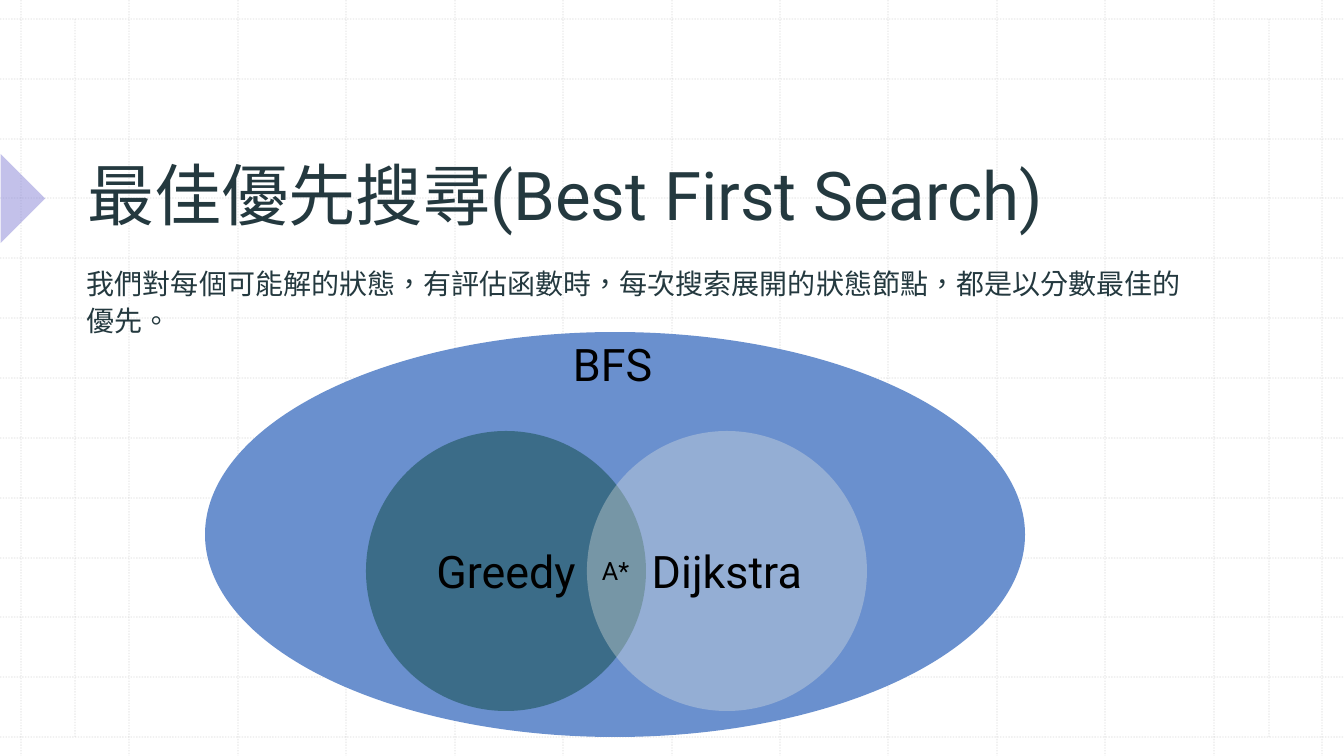
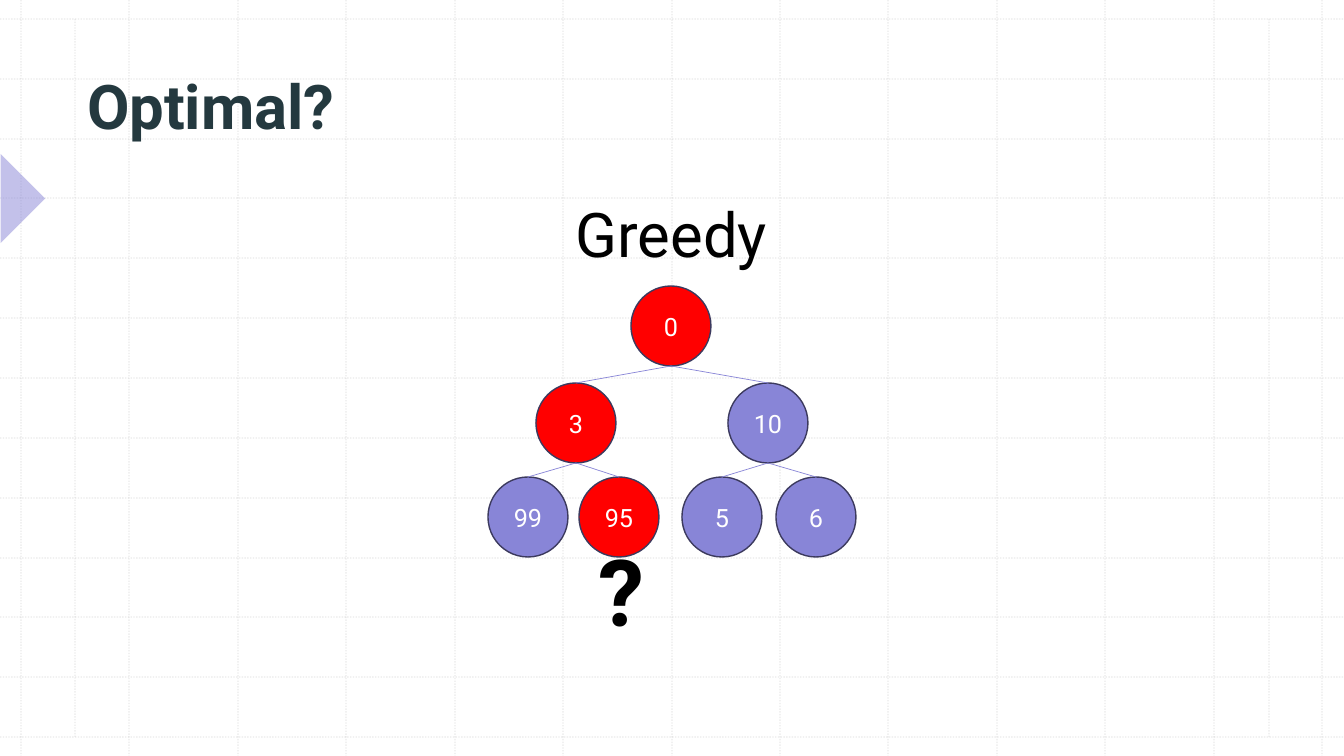
from lxml.etree import SubElement
from pptx import Presentation
from pptx.dml.color import RGBColor
from pptx.enum.dml import MSO_LINE
from pptx.enum.shapes import MSO_CONNECTOR, MSO_SHAPE
from pptx.enum.text import MSO_ANCHOR, MSO_AUTO_SIZE, PP_ALIGN
from pptx.oxml.ns import qn
from pptx.util import Emu, Pt

WIDTH, HEIGHT = 1344, 756
EMU_PER_PX = 914400 / 100.8
FONT = "Roboto"
BLACK = RGBColor(0x00, 0x00, 0x00)
WHITE = RGBColor(0xFF, 0xFF, 0xFF)
INK = RGBColor(0x24, 0x39, 0x3F)
GRID = RGBColor(0xBC, 0xBC, 0xBC)
VIOLET = RGBColor(0x88, 0x85, 0xD7)
OUTLINE = RGBColor(0x3C, 0x3A, 0x5E)
RED = RGBColor(0xFF, 0x00, 0x00)
BLUE = RGBColor(0x6A, 0x90, 0xCE)
TEAL = RGBColor(0x26, 0x5B, 0x68)
PALE = RGBColor(0xE8, 0xE8, 0xE2)


def px(*lengths):
    return [Emu(round(length * EMU_PER_PX)) for length in lengths]


def set_opacity(shape, percent):
    color = next(shape.element.spPr.iter(qn("a:srgbClr")))
    SubElement(color, qn("a:alpha"), val=str(percent * 1000))


class Deck:
    """Hold the shared style and the slide being drawn."""

    def __init__(self):
        self.presentation = Presentation()
        self.presentation.slide_width, self.presentation.slide_height = px(WIDTH, HEIGHT)
        self.layout = self.presentation.slide_layouts[5]
        self.slide = None

    def add_slide(self):
        first = self.slide is None
        self.slide = self.presentation.slides.add_slide(self.layout)
        if first:
            self.move_to_layout(self.draw_backdrop())

    def draw_backdrop(self):
        top, bottom = 19, 737
        columns = [round(21 + 1301 / 12 * step) for step in range(13)]
        rows = [round(top + (bottom - top) / 12 * step) for step in range(13)]
        ends = [(x, 0, x, HEIGHT) for x in columns]
        ends += [(0, y, WIDTH, y) for y in rows]
        ends += [(x, top, x, bottom) for x in (75, 1269)]
        shapes = []
        for points in ends:
            line = self.line(points, GRID, 1)
            line.line.dash_style = MSO_LINE.ROUND_DOT
            set_opacity(line, 30)
            shapes.append(line)
        marker = self.shape(MSO_SHAPE.RIGHT_TRIANGLE, (-31, 167, 63, 63), VIOLET, opacity=50)
        marker.rotation = 225
        return shapes + [marker]

    def move_to_layout(self, shapes):
        for number, shape in enumerate(shapes, 100):
            shape.element.xpath(".//p:cNvPr")[0].set("id", str(number))
            self.layout.shapes.element.append(shape.element)

    def add_run(self, shape, text, size, color, align=PP_ALIGN.LEFT, bold=False, language="en-US"):
        paragraph = shape.text_frame.paragraphs[0]
        paragraph.alignment = align
        run = paragraph.add_run()
        run.text = text
        font = run.font
        font.name, font.size, font.bold = FONT, Pt(size), bold
        font.color.rgb = color
        properties = run._r.get_or_add_rPr()
        properties.set("lang", language)
        SubElement(properties, qn("a:ea"), typeface=FONT)
        return paragraph

    def title(self, text, box, size, **style):
        title = self.slide.shapes.title
        title.left, title.top, title.width, title.height = px(*box)
        title.text_frame.auto_size = MSO_AUTO_SIZE.NONE
        title.text_frame.vertical_anchor = MSO_ANCHOR.BOTTOM
        self.add_run(title, text, size, INK, **style)

    def text(self, text, box, size, color=BLACK, wrap=False, **style):
        shape = self.slide.shapes.add_textbox(*px(*box))
        shape.text_frame.word_wrap = wrap
        return self.add_run(shape, text, size, color, **style)

    def shape(self, kind, box, fill, outline=None, opacity=None):
        shape = self.slide.shapes.add_shape(kind, *px(*box))
        shape.shadow.inherit = False
        shape.fill.solid()
        shape.fill.fore_color.rgb = fill
        if outline is None:
            shape.line.fill.background()
        else:
            shape.line.color.rgb = outline
            shape.line.width = Pt(1)
        if opacity is not None:
            set_opacity(shape, opacity)
        return shape

    def ellipse(self, box, fill, text=None, size=32, color=BLACK, **style):
        shape = self.shape(MSO_SHAPE.OVAL, box, fill, **style)
        if text is not None:
            shape.text_frame.vertical_anchor = MSO_ANCHOR.MIDDLE
            self.add_run(shape, text, size, color, PP_ALIGN.CENTER)

    def line(self, points, color, width):
        connector = self.slide.shapes.add_connector(MSO_CONNECTOR.STRAIGHT, *px(*points))
        connector.line.color.rgb = color
        connector.line.width = Pt(width)
        SubElement(connector.element.spPr, qn("a:effectLst"))
        return connector


def best_first_slide(deck):
    deck.add_slide()
    deck.title("最佳優先搜尋(Best First Search)", (77, 80, 1138, 159), 48, language="zh-TW")
    summary = deck.text(
        "我們對每個可能解的狀態，有評估函數時，每次搜索展開的狀態節點，都是以分數最佳的優先。",
        (77, 258, 1138, 393), 20, INK, wrap=True, language="zh-TW")
    summary.line_spacing = 1.1
    deck.ellipse((205, 332, 820, 405), BLUE)
    deck.text("BFS", (563, 332, 104, 65), 32)
    deck.ellipse((366, 431, 280, 280), TEAL, "Greedy", opacity=68)
    deck.ellipse((587, 431, 280, 280), PALE, "Dijkstra", opacity=34)
    deck.text("A*", (571, 550, 89, 40), 18, wrap=True, align=PP_ALIGN.CENTER)


def optimal_slide(deck):
    deck.add_slide()
    deck.title("Optimal?", (77, 51, 1138, 96), 44, bold=True)
    deck.text("Greedy", (561, 191, 221, 85), 44, align=PP_ALIGN.CENTER)
    diameter = 80
    radius = diameter // 2
    nodes = {
        "0": (671, 286, None),
        "3": (576, 383, "0"),
        "10": (768, 383, "0"),
        "99": (528, 477, "3"),
        "95": (619, 477, "3"),
        "5": (722, 477, "10"),
        "6": (816, 477, "10"),
    }
    greedy_route = ("0", "3", "95")
    for label, (center, top, _) in nodes.items():
        fill = RED if label in greedy_route else VIOLET
        deck.ellipse((center - radius, top, diameter, diameter), fill, label, 18, WHITE,
                     outline=OUTLINE)
    for center, top, parent in nodes.values():
        if parent is not None:
            parent_center, parent_top, _ = nodes[parent]
            deck.line((parent_center, parent_top + diameter, center, top), VIOLET, 0.5)
    deck.text("?", (589, 529, 61, 122), 66, bold=True)


def main():
    deck = Deck()
    best_first_slide(deck)
    optimal_slide(deck)
    deck.presentation.save("out.pptx")


if __name__ == "__main__":
    main()
